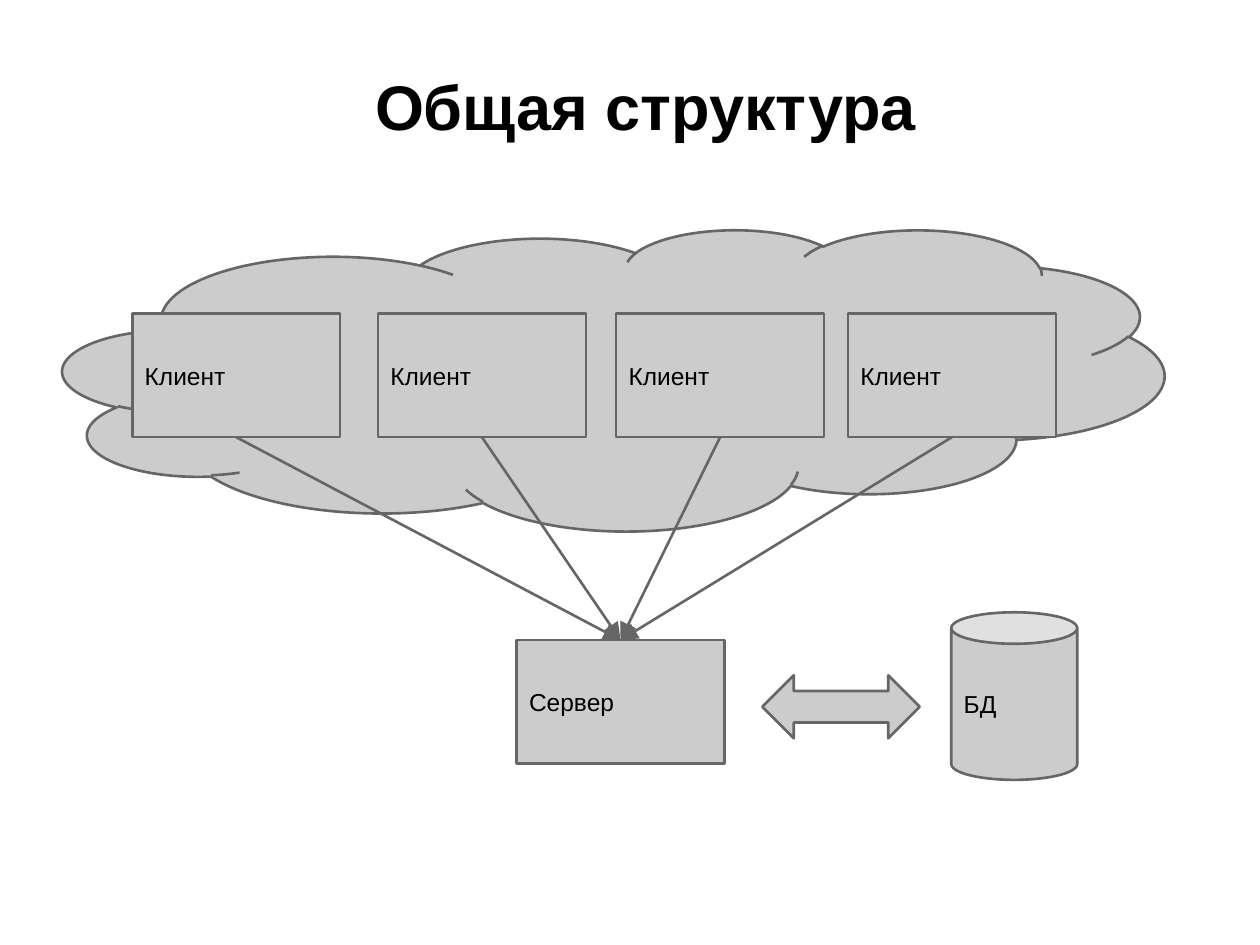
import pptx
import pptx.dml.color
import pptx.enum.shapes
import pptx.enum.text
import pptx.util
from lxml import etree
from pptx.oxml.ns import qn
from pptx.util import Inches

RGBColor = pptx.dml.color.RGBColor
SHAPES = pptx.enum.shapes.MSO_SHAPE
ANCHOR = pptx.enum.text.MSO_ANCHOR
ALIGN = pptx.enum.text.PP_ALIGN

THEME = {
    "font": "Arial",
    "text": RGBColor(0x00, 0x00, 0x00),
    "fill": RGBColor(0xCC, 0xCC, 0xCC),
    "line": RGBColor(0x66, 0x66, 0x66),
    "line_width": pptx.util.Pt(1.5),
    "title_size": pptx.util.Pt(36),
    "label_size": pptx.util.Pt(14),
}


def write_text(shape, text, size, bold, anchor, align):
    text_frame = shape.text_frame
    text_frame.text = text
    text_frame.word_wrap = True
    text_frame.auto_size = pptx.enum.text.MSO_AUTO_SIZE.NONE
    text_frame.vertical_anchor = anchor
    text_frame.margin_left = text_frame.margin_right = Inches(0.1)
    text_frame.margin_top = text_frame.margin_bottom = Inches(0.1)
    paragraph = text_frame.paragraphs[0]
    paragraph.alignment = align
    font = paragraph.runs[0].font
    font.name = THEME["font"]
    font.size = size
    font.bold = bold
    font.color.rgb = THEME["text"]


def add_block(slide, kind, left, top, width, height, label=None):
    shape = slide.shapes.add_shape(
        kind, Inches(left), Inches(top), Inches(width), Inches(height))
    shape.shadow.inherit = False
    shape.fill.solid()
    shape.fill.fore_color.rgb = THEME["fill"]
    shape.line.color.rgb = THEME["line"]
    shape.line.width = THEME["line_width"]
    if label:
        write_text(shape, label, THEME["label_size"], False, ANCHOR.MIDDLE, ALIGN.LEFT)
    return shape


presentation = pptx.Presentation()
presentation.slide_width = Inches(10)
presentation.slide_height = Inches(7.5)
slide = presentation.slides.add_slide(presentation.slide_layouts[5])

# Title
title = slide.shapes.title
title.left, title.top = Inches(0.5), Inches(0.46)
title.width, title.height = Inches(9), Inches(0.78)
write_text(title, "Общая структура", THEME["title_size"], True, ANCHOR.BOTTOM, ALIGN.CENTER)
title_properties = title.text_frame.paragraphs[0]._p.get_or_add_pPr()
title_properties.set("marL", "0")
title_properties.set("indent", str(Inches(0.25)))

# Network cloud with the clients
add_block(slide, SHAPES.CLOUD, 0.5, 1.82, 8.74, 2.39)
box_width, box_height = 1.65, 0.98
clients = [
    add_block(slide, SHAPES.RECTANGLE, left, 2.49, box_width, box_height, "Клиент")
    for left in (1.05, 3, 4.89, 6.73)
]

# Server and database
server = add_block(slide, SHAPES.RECTANGLE, 4.1, 5.08, box_width, box_height, "Сервер")
database = add_block(slide, SHAPES.CAN, 7.55, 4.86, 1, 1.33, "БД")
database.adjustments[0] = 0.25
add_block(slide, SHAPES.LEFT_RIGHT_ARROW, 6.05, 5.36, 1.25, 0.5)

# Arrows from the bottom of each client to the top of the server
TOP_SITE, BOTTOM_SITE = 0, 2
for client in clients:
    connector = slide.shapes.add_connector(
        pptx.enum.shapes.MSO_CONNECTOR.STRAIGHT, 0, 0, 0, 0)
    connector.begin_connect(client, BOTTOM_SITE)
    connector.end_connect(server, TOP_SITE)
    connector.line.color.rgb = THEME["line"]
    connector.line.width = THEME["line_width"]
    etree.SubElement(connector.line._get_or_add_ln(), qn("a:tailEnd"),
                     type="triangle", w="lg", len="lg")
    etree.SubElement(connector._element.spPr, qn("a:effectLst"))

presentation.save("out.pptx")
